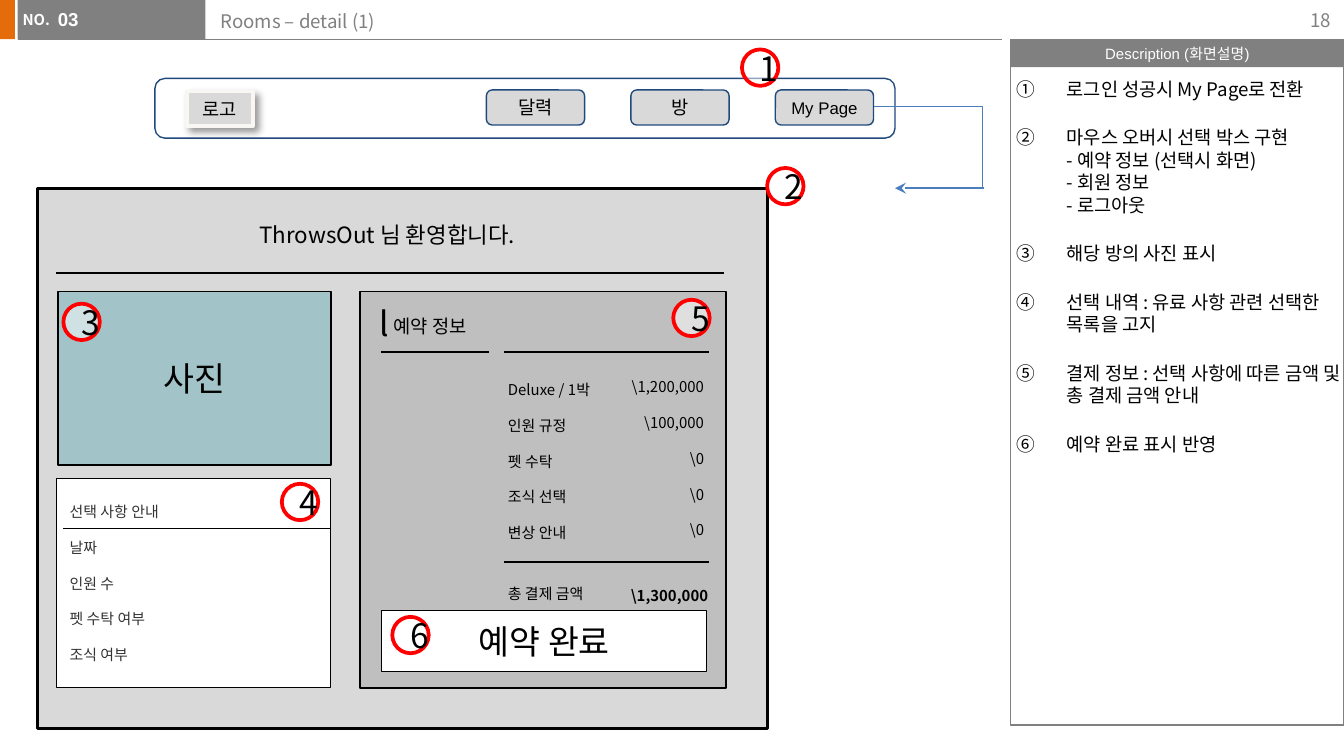
import copy
import lxml.etree
import pptx
import pptx.dml.color
import pptx.enum.shapes
import pptx.enum.text
import pptx.oxml
import pptx.oxml.ns
import pptx.util

Pt = pptx.util.Pt
SHAPES = pptx.enum.shapes.MSO_SHAPE
CONNECTORS = pptx.enum.shapes.MSO_CONNECTOR
ANCHOR = pptx.enum.text.MSO_ANCHOR
ALIGN = pptx.enum.text.PP_ALIGN
AUTO_SIZE = pptx.enum.text.MSO_AUTO_SIZE
qn = pptx.oxml.ns.qn

THEME = {
    "korean": "Noto Sans CJK KR", "latin": "Arial", "list": "Karla",
    "small": 8, "label": 9, "body": 10, "welcome": 12, "large": 18,
    "black": "000000", "white": "FFFFFF", "gray": "808080", "text": "333333",
    "orange": "E46C0A", "navy": "1F497D", "blue": "4B7EBC", "red": "FF0000",
    "panel": "D9D9D9", "inner": "BFBFBF", "photo": "A2C4C9", "frame": "F8F7F3",
}

DESCRIPTIONS = [
    "로그인 성공시 My Page로 전환",
    "마우스 오버시 선택 박스 구현\n- 예약 정보 (선택시 화면)\n- 회원 정보\n- 로그아웃",
    "해당 방의 사진 표시",
    "선택 내역 : 유료 사항 관련 선택한 목록을 고지",
    "결제 정보 : 선택 사항에 따른 금액 및 총 결제 금액 안내",
    "예약 완료 표시 반영",
]
MENU = [("달력", "body"), ("방", "body"), ("My Page", "label")]
OPTIONS = ["선택 사항 안내", "날짜", "인원 수", "펫 수탁 여부", "조식 여부"]
CHARGES = [
    ("Deluxe / 1박", "\\1,200,000"),
    ("인원 규정", "\\100,000"),
    ("펫 수탁", "\\0"),
    ("조식 선택", "\\0"),
    ("변상 안내", "\\0"),
]
MARKERS = [(397.5, 26.5), (411, 90), (34, 162.7), (151, 259.2), (360.7, 160.6), (210.2, 330.5)]
RULES = [
    (30.2, 388, 146.2, 1.25), (34, 177, 283, 0.75), (270, 380, 188.6, 0.75),
    (204, 262, 188.6, 0.75), (270, 380, 301, 1),
]


def color(name):
    return pptx.dml.color.RGBColor.from_string(THEME[name])


def write(shape, paragraphs, size="body", font="korean", ink="black", bold=False,
          align=ALIGN.LEFT, anchor=ANCHOR.TOP, insets=(7.2, 3.6, 7.2, 3.6),
          wrap=True, grow=False, spacing=None, gap=0, numbered=False):
    frame = shape.text_frame
    frame.auto_size = AUTO_SIZE.SHAPE_TO_FIT_TEXT if grow else AUTO_SIZE.NONE
    frame.word_wrap = wrap
    frame.vertical_anchor = anchor
    (frame.margin_left, frame.margin_top,
     frame.margin_right, frame.margin_bottom) = map(Pt, insets)
    if isinstance(paragraphs, str):
        paragraphs = [paragraphs]
    for index, content in enumerate(paragraphs):
        paragraph = frame.add_paragraph() if index else frame.paragraphs[0]
        paragraph.text = content
        paragraph.alignment = align
        paragraph.space_before = Pt(gap if index else 0)
        if spacing:
            paragraph.line_spacing = spacing
        if numbered:
            properties = paragraph._p.get_or_add_pPr()
            properties.set("marL", str(Pt(27)))
            properties.set("indent", str(Pt(-27)))
            lxml.etree.SubElement(properties, qn("a:buAutoNum"), type="circleNumDbPlain")
        for run in paragraph.runs:
            run.font.size = Pt(THEME[size])
            run.font.bold = bold
            run.font.color.rgb = color(ink)
            run.font.name = THEME[font]
            lxml.etree.SubElement(run._r.rPr, qn("a:ea"), typeface=THEME["korean"])
        for line_break in paragraph._p.findall(qn("a:br")):
            line_break.append(copy.deepcopy(paragraph.runs[0]._r.rPr))


def add_text(slide, box, paragraphs, **style):
    shape = slide.shapes.add_textbox(*map(Pt, box))
    write(shape, paragraphs, **style)
    return shape


def add_box(slide, box, fill=None, line=None, width=1, kind=SHAPES.RECTANGLE):
    shape = slide.shapes.add_shape(kind, *map(Pt, box))
    shape.shadow.inherit = False
    if fill:
        shape.fill.solid()
        shape.fill.fore_color.rgb = color(fill)
    else:
        shape.fill.background()
    if line:
        shape.line.color.rgb = color(line)
        shape.line.width = Pt(width)
    else:
        shape.line.fill.background()
    return shape


def add_line(slide, start, end, ink="black", width=0.75, kind=CONNECTORS.STRAIGHT):
    line = slide.shapes.add_connector(kind, *map(Pt, start + end))
    line.line.color.rgb = color(ink)
    line.line.width = Pt(width)
    lxml.etree.SubElement(line._element.spPr, qn("a:effectLst"))
    return line


def add_header(slide):
    add_box(slide, (-0.5, 0, 8.5, 21), "orange")
    add_line(slide, (9.5, 21), (537, 21), "gray", 0.5)
    add_box(slide, (9.5, 0, 100.5, 21), "gray")
    add_text(slide, (5, 2, 29.5, 17.5), "NO.", size="small", ink="white", bold=True,
             wrap=False, grow=True)
    title = slide.shapes.title
    title.left, title.top, title.width, title.height = map(Pt, (111, 1.5, 425.5, 23))
    write(title, "Rooms – detail (1)", ink="gray")
    add_text(slide, (31, 0.5, 79, 22.5), "03", font="latin", ink="white", bold=True,
             insets=(0, 3.6, 0, 3.6))
    add_text(slide, (677, 0, 43, 21.5), "18", ink="gray", align=ALIGN.RIGHT,
             anchor=ANCHOR.MIDDLE)


def add_description(slide):
    bar = add_box(slide, (541.5, 21, 178.5, 15), "gray")
    write(bar, "Description (화면설명)", size="small", font="latin", ink="white",
          align=ALIGN.CENTER, anchor=ANCHOR.MIDDLE, insets=(6.5, 3, 6.5, 3), wrap=False)
    add_box(slide, (541.5, 21, 178.5, 367.5), None, "gray", 0.75)
    add_text(slide, (541.5, 38, 178.5, 351), DESCRIPTIONS, insets=(3, 3.6, 0, 3.6),
             gap=14, numbered=True)


def add_menu(slide):
    centered = {"align": ALIGN.CENTER, "anchor": ANCHOR.MIDDLE}
    add_box(slide, (83, 42, 396.5, 32), "white", "navy", 0.75, SHAPES.ROUNDED_RECTANGLE)
    for index, (label, size) in enumerate(MENU):
        button = add_box(slide, (260.6 + 77.4 * index, 48.2, 52.6, 18.8), "panel", "navy",
                         0.75, SHAPES.ROUNDED_RECTANGLE)
        write(button, label, size=size, font="latin", insets=(7.2,) * 4, **centered)
    logo = add_box(slide, (100, 49, 35.5, 18.5), "panel", "frame", 2)
    write(logo, "로고", **centered)
    shadow = lxml.etree.SubElement(
        logo._element.spPr.find(qn("a:effectLst")), qn("a:outerShdw"),
        blurRad=str(Pt(4)), dist=str(Pt(3)), dir="2700000", algn="tl", rotWithShape="0")
    shade = lxml.etree.SubElement(shadow, qn("a:srgbClr"), val=THEME["black"])
    lxml.etree.SubElement(shade, qn("a:alpha"), val="40000")


def add_page(slide):
    centered = {"size": "large", "align": ALIGN.CENTER, "anchor": ANCHOR.MIDDLE}
    add_box(slide, (20, 100.8, 391, 289.4), "panel", "black", 1.5)
    add_box(slide, (193, 156.2, 195.8, 212.4), "inner", "black")
    photo = add_box(slide, (31, 156.2, 146.2, 93), "photo", "black")
    write(photo, "사진", **centered)
    confirm = add_box(slide, (204.5, 327, 174.2, 33), "white", "black", 0.5)
    write(confirm, "예약 완료", **centered)
    options = add_box(slide, (30.2, 256.3, 147, 112.3), "white", "black", 0.5)
    write(options, OPTIONS, size="small", font="list", ink="text", anchor=ANCHOR.MIDDLE, gap=9.6)
    for left, right, top, width in RULES:
        add_line(slide, (left, top), (right, top), width=width)

    fitted = {"wrap": False, "grow": True}
    add_text(slide, (131.8, 115.2, 158.4, 21.6), "ThrowsOut 님 환영합니다.", size="welcome", **fitted)
    add_text(slide, (196.5, 159, 18.7, 28.8), "l", size="large", **fitted)
    add_text(slide, (203.8, 165, 58.3, 19.4), "예약 정보", **fitted)
    names, prices = zip(*CHARGES)
    double = {"size": "small", "spacing": 2.0, "grow": True}
    add_text(slide, (265, 190.8, 61.2, 100.8), names, wrap=False, **double)
    add_text(slide, (329, 189.4, 55.4, 100.8), prices, wrap=False, align=ALIGN.RIGHT, **double)
    add_text(slide, (265, 300.2, 64, 23.8), "총 결제 금액", **double)
    add_text(slide, (322.6, 301, 64, 23.8), "\\1,300,000", bold=True, align=ALIGN.RIGHT, **double)


def add_flow(slide):
    arrow = add_line(slide, (479.5, 100.8), (527, 100.8), "blue")
    lxml.etree.SubElement(arrow.line._get_or_add_ln(), qn("a:headEnd"), type="stealth")
    elbow = add_line(slide, (468, 56.9), (527, 100.8), "blue", kind=CONNECTORS.ELBOW)
    adjustments = elbow._element.spPr.find(qn("a:prstGeom")).find(qn("a:avLst"))
    lxml.etree.SubElement(adjustments, qn("a:gd"), name="adj1", fmla="val 98800")


def add_markers(slide):
    for number, (left, top) in enumerate(MARKERS, 1):
        marker = add_box(slide, (left, top, 19.5, 19.5), "white", "red", 2, SHAPES.OVAL)
        fill = marker._element.spPr.find(qn("a:solidFill"))
        lxml.etree.SubElement(fill[0], qn("a:alpha"), val="50000")
        write(marker, str(number), size="large", align=ALIGN.CENTER, anchor=ANCHOR.MIDDLE)


def main():
    presentation = pptx.Presentation()
    presentation.slide_width, presentation.slide_height = Pt(720), Pt(405)
    slide = presentation.slides.add_slide(presentation.slide_layouts[5])
    for add_part in (add_header, add_description, add_menu, add_page, add_flow, add_markers):
        add_part(slide)
    presentation.save("out.pptx")


if __name__ == "__main__":
    main()
